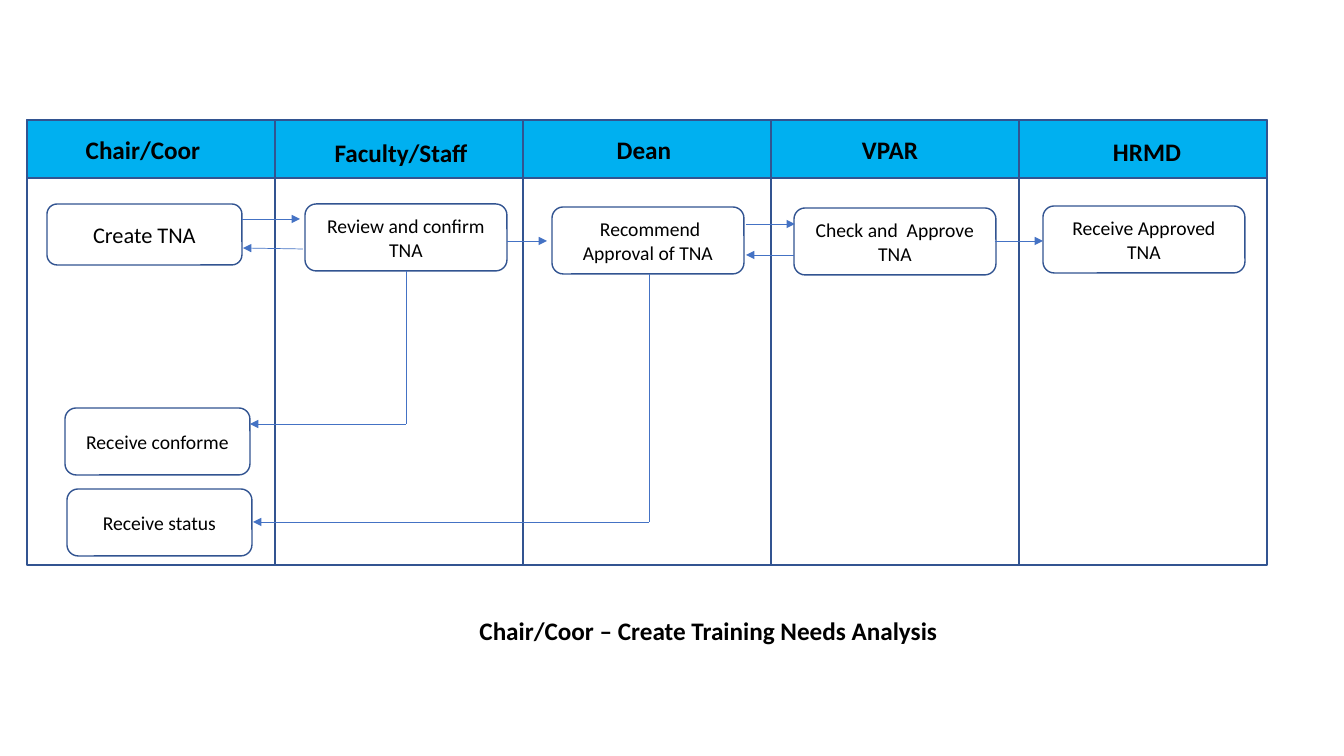
from pptx import Presentation
from pptx.dml.color import RGBColor
from pptx.enum.shapes import MSO_CONNECTOR, MSO_SHAPE
from pptx.enum.text import MSO_ANCHOR, PP_ALIGN
from pptx.oxml.ns import qn
from pptx.util import Pt
from lxml import etree

RECT = MSO_SHAPE.RECTANGLE
ROUND = MSO_SHAPE.ROUNDED_RECTANGLE
LINE = MSO_CONNECTOR.STRAIGHT
CENTER = PP_ALIGN.CENTER
TOP = MSO_ANCHOR.TOP
MIDDLE = MSO_ANCHOR.MIDDLE

CYAN = RGBColor(0x00, 0xB0, 0xF0)
NAVY = RGBColor(0x32, 0x54, 0x91)
BLUE = RGBColor(0x44, 0x72, 0xC4)
BLACK = RGBColor(0, 0, 0)

SCALE = 914400 / 100.8


def px(*sizes):
    return [round(size * SCALE) for size in sizes]


def write(shape, text, size=14, bold=False, anchor=MIDDLE):
    frame = shape.text_frame
    frame.word_wrap = True
    frame.vertical_anchor = anchor
    para = frame.paragraphs[0]
    para.alignment = CENTER
    run = para.add_run()
    run.text = text
    run.font.name = "Calibri"
    run.font.size = Pt(size)
    run.font.bold = bold
    run.font.color.rgb = BLACK


deck = Presentation()
deck.slide_width, deck.slide_height = px(1344, 756)
slide = deck.slides.add_slide(deck.slide_layouts[6])
shapes = slide.shapes

lanes = [
    ("Chair/Coor", 48, 129),
    ("Faculty/Staff", 306, 132),
    ("Dean", 549, 129),
    ("VPAR", 795, 129),
    ("HRMD", 1052, 131),
]
steps = [
    ("Create TNA", 47, 204, 195, 61, 16),
    ("Review and confirm TNA", 305, 204, 202, 67, 14),
    (" Recommend Approval of TNA", 552, 207, 192, 67, 14),
    ("Check and  Approve TNA", 794, 208, 202, 67, 14),
    ("Receive Approved TNA", 1043, 206, 202, 67, 14),
    ("Receive conforme", 65, 408, 185, 67, 14),
    ("Receive status", 67, 489, 185, 67, 14),
]
links = [
    (242, 219, 300, 219, True),
    (303, 249, 243, 248, True),
    (507, 241, 547, 241, True),
    (746, 224, 795, 224, True),
    (794, 255, 746, 255, True),
    (995, 241, 1043, 241, True),
    (406, 271, 406, 424, False),
    (406, 424, 250, 424, True),
    (649, 274, 649, 522, False),
    (649, 522, 253, 522, True),
]

boxes = []
for index in range(len(lanes)):
    left = 27 + 248 * index
    boxes.append((RECT, left, 120, 248, 445, None))
    boxes.append((RECT, left, 120, 248, 58, CYAN))
for text, left, top, width, height, size in steps:
    boxes.append((ROUND, left, top, width, height, None))

drawn = []
for kind, left, top, width, height, fill in boxes:
    box = shapes.add_shape(kind, *px(left, top, width, height))
    box.shadow.inherit = False
    box.line.color.rgb = NAVY
    box.line.width = Pt(1)
    if fill:
        box.fill.solid()
        box.fill.fore_color.rgb = fill
    else:
        box.fill.background()
    drawn.append(box)

for box, step in zip(drawn[2 * len(lanes):], steps):
    write(box, step[0], size=step[5])

titles = [(name, left, top, 190, 40) for name, left, top in lanes]
titles.append(("Chair/Coor – Create Training Needs Analysis", 396, 610, 625, 72))
for text, *place in titles:
    write(shapes.add_textbox(*px(*place)), text, size=18, bold=True, anchor=TOP)

for *ends, arrow in links:
    link = shapes.add_connector(LINE, *px(*ends))
    link.line.color.rgb = BLUE
    link.line.width = Pt(0.5)
    if arrow:
        tail = etree.SubElement(link.line._get_or_add_ln(), qn("a:tailEnd"))
        tail.set("type", "triangle")
    etree.SubElement(link._element.spPr, qn("a:effectLst"))

deck.save("out.pptx")
